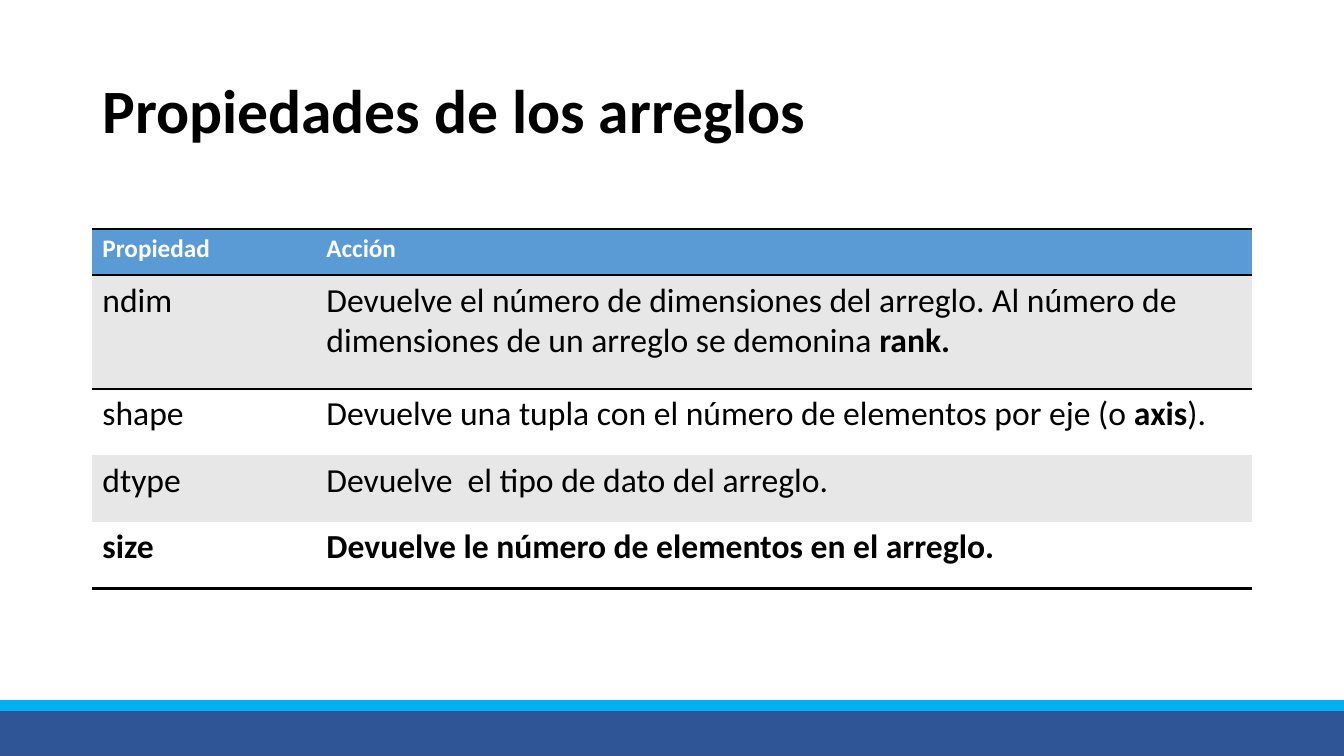
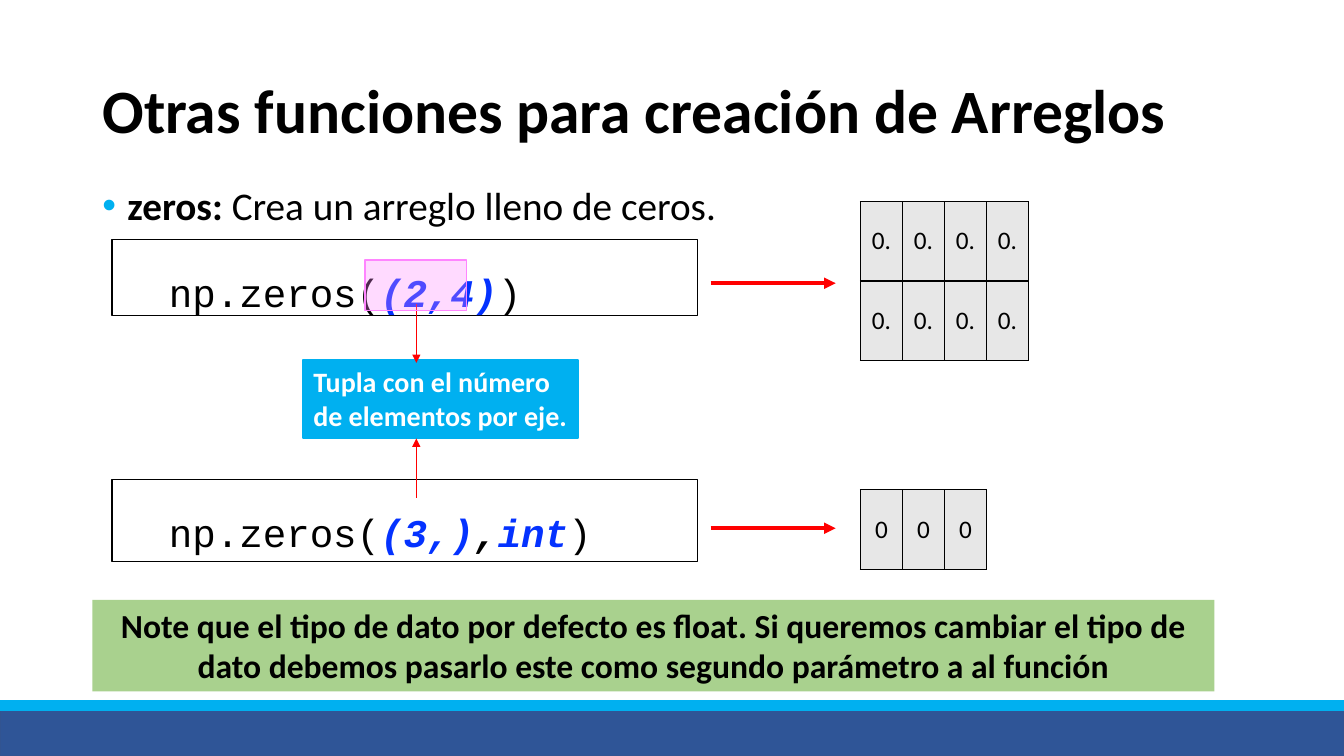
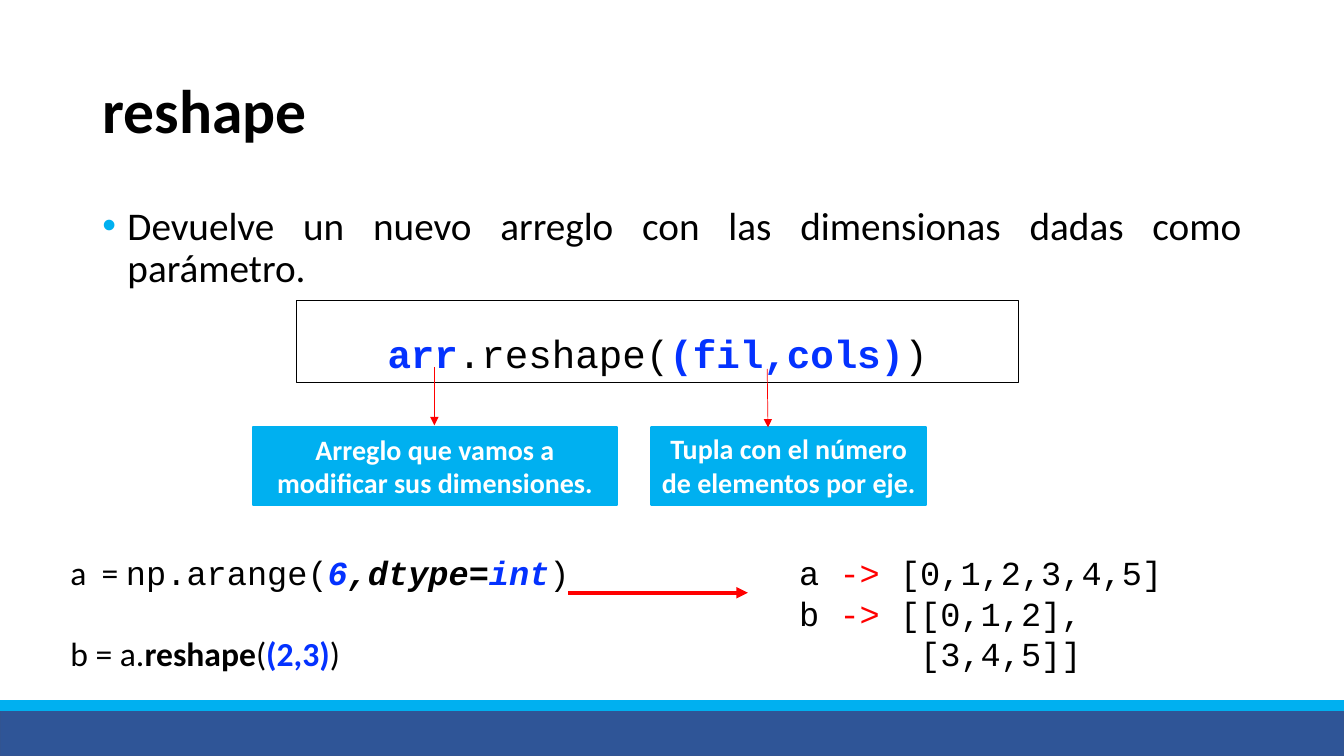
from pptx import Presentation
from pptx.dml.color import RGBColor
from pptx.enum.shapes import MSO_CONNECTOR as Connector, MSO_SHAPE as Preset
from pptx.enum.text import MSO_ANCHOR as Anchor, MSO_AUTO_SIZE as AutoSize, PP_ALIGN as Align
from pptx.oxml.ns import qn
from pptx.oxml.xmlchemy import OxmlElement
from pptx.util import Pt

COLORS = {name: RGBColor.from_string(value) for name, value in {
    "black": "000000", "white": "FFFFFF", "cyan": "00B0F0", "navy": "2F5597",
    "navy edge": "325491", "header": "5B9BD5", "gray": "E7E7E7", "argument": "0432FF",
    "red": "FF0000", "pink": "FF85FF", "green": "A9D18E",
}.items()}

# Run styles, each laid over the base format of its box
STYLES = {
    "plain": {},
    "bold": {"bold": True},
    "argument": {"bold": True, "color": "argument"},
    "italic": {"bold": True, "italic": True},
    "italic argument": {"bold": True, "italic": True, "color": "argument"},
    "red": {"color": "red"},
    "mono": {"name": "Courier New"},
    "mono italic": {"name": "Courier New", "bold": True, "italic": True},
    "mono argument": {"name": "Courier New", "bold": True, "italic": True, "color": "argument"},
}
BASE = {"name": "Calibri", "size": Pt(24), "bold": False, "italic": False, "color": "black"}


def write(frame, paragraphs, align=Align.LEFT, spacing=1.0, **base):
    """Fill a text frame; each paragraph is a list of (text, style) runs."""
    frame.word_wrap = True
    for index, runs in enumerate(paragraphs):
        paragraph = frame.add_paragraph() if index else frame.paragraphs[0]
        paragraph.alignment, paragraph.line_spacing = align, spacing
        for text, style in runs:
            run = paragraph.add_run()
            run.text = text
            for key, value in {**BASE, **base, **STYLES[style]}.items():
                if key == "color":
                    run.font.color.rgb = COLORS[value]
                else:
                    setattr(run.font, key, value)


def draw_borders(cell, sides, width):
    """Draw black borders on the given sides, in the order L, R, T, B."""
    properties = cell._tc.get_or_add_tcPr()
    for index, side in enumerate(sides):
        border = OxmlElement(f"a:ln{side}")
        border.set("w", str(Pt(width)))
        fill = OxmlElement("a:solidFill")
        color = OxmlElement("a:srgbClr")
        color.set("val", str(COLORS["black"]))
        fill.append(color)
        border.append(fill)
        properties.insert(index, border)


prs = Presentation()
prs.slide_width, prs.slide_height = Pt(960), Pt(540)
layout = prs.slide_layouts[5]
for placeholder in list(layout.placeholders)[1:]:
    placeholder.element.getparent().remove(placeholder.element)

# Slides and titles
slides = []
for title in ("Propiedades de los arreglos", "Otras funciones para creación de Arreglos", "reshape"):
    slide = prs.slides.add_slide(layout)
    heading = slide.shapes.title
    heading.left, heading.top, heading.width, heading.height = Pt(66), Pt(29), Pt(828), Pt(104)
    heading.text_frame.auto_size = AutoSize.NONE
    heading.text_frame.vertical_anchor = Anchor.MIDDLE
    write(heading.text_frame, [[(title, "bold")]], spacing=0.9, size=Pt(44))
    slides.append(slide)
properties_slide, zeros_slide, reshape_slide = slides

# Bottom bands, moved to the shared layout
for index, (top, height, fill, edge) in enumerate([
        (506.2, 33.8, "navy", "navy edge"), (500.4, 7.2, "cyan", "cyan")]):
    band = properties_slide.shapes.add_shape(Preset.RECTANGLE, 0, Pt(top), Pt(960), Pt(height))
    band.shadow.inherit = False
    band.fill.solid()
    band.fill.fore_color.rgb = COLORS[fill]
    band.line.color.rgb = COLORS[edge]
    band.line.width = Pt(1)
    layout.shapes.element.insert(2 + index, band.element)

# Tables: property list and the two arrays of zeros
property_rows = [
    [[("Propiedad", "bold")], [("Acción", "bold")]],
    [[("ndim", "plain")],
     [("Devuelve el número de dimensiones del arreglo. Al número de dimensiones de un "
       "arreglo se demonina ", "plain"), ("rank.", "bold")]],
    [[("shape", "plain")],
     [("Devuelve una tupla con el número de elementos por eje (o ", "plain"),
      ("axis", "bold"), (").", "plain")]],
    [[("dtype", "plain")], [("Devuelve  el tipo de dato del arreglo.", "plain")]],
    [[("size", "bold")], [("Devuelve le número de elementos en el arreglo.", "bold")]],
]
float_zeros = [[[("0.", "plain")]] * 4] * 2
int_zeros = [[[("0", "plain")]] * 3]
NO_STYLE = "{2D5ABB26-0587-4C30-8999-92F81FD0307C}"
for slide, left, top, widths, heights, rows in [
        (properties_slide, 66, 163.4, [160, 668], [33.1, 81.4, 47.5, 47.5, 47.5], property_rows),
        (zeros_slide, 614.6, 144, [30] * 4, [56.8] * 2, float_zeros),
        (zeros_slide, 614.6, 349.8, [30] * 3, [56.8], int_zeros)]:
    table = slide.shapes.add_table(len(rows), len(widths), Pt(left), Pt(top),
                                   Pt(sum(widths)), Pt(sum(heights))).table
    table._tbl.tblPr.find(qn("a:tableStyleId")).text = NO_STYLE
    for column, width in zip(table.columns, widths):
        column.width = Pt(width)
    for r, (row, height) in enumerate(zip(rows, heights)):
        table.rows[r].height = Pt(height)
        for c, runs in enumerate(row):
            cell = table.cell(r, c)
            cell.fill.solid()
            if rows is property_rows:
                fill = "header" if r == 0 else "gray" if r % 2 else "white"
                look = {"size": Pt(18), "color": "white"} if r == 0 else {}
                sides = {0: "TB", 1: "T", len(rows) - 1: "B"}.get(r, "")
                draw_borders(cell, sides, 2)
            else:
                fill = "gray"
                look = {"size": Pt(18), "align": Align.CENTER}
                cell.vertical_anchor = Anchor.MIDDLE
                draw_borders(cell, "LRTB", 1)
            cell.fill.fore_color.rgb = COLORS[fill]
            write(cell.text_frame, [runs], **look)

# Bulleted introductions
for slide, top, align, runs in [
        (zeros_slide, 129.6, Align.LEFT,
         [("zeros: ", "bold"), ("Crea un arreglo lleno de ceros.", "plain")]),
        (reshape_slide, 144, Align.JUSTIFY,
         [("Devuelve un nuevo arreglo con las dimensionas dadas como parámetro.", "plain")])]:
    intro = slide.shapes.add_textbox(Pt(66), Pt(top), Pt(828), Pt(342.7)).text_frame
    write(intro, [runs], align, 0.9, size=Pt(28))
    paragraph_format = intro.paragraphs[0]._p.get_or_add_pPr()
    paragraph_format.set("marL", str(Pt(18)))
    paragraph_format.set("indent", str(-Pt(18)))
    bullet_color = OxmlElement("a:buClr")
    bullet_rgb = OxmlElement("a:srgbClr")
    bullet_rgb.set("val", str(COLORS["cyan"]))
    bullet_color.append(bullet_rgb)
    bullet_font = OxmlElement("a:buFont")
    bullet_font.set("typeface", "Arial")
    bullet = OxmlElement("a:buChar")
    bullet.set("char", "•")
    paragraph_format.extend([bullet_color, bullet_font, bullet])

# Code, callout and note boxes: fill, edge, edge width, text format
BOX_KINDS = {
    "code": (None, "black", 0.75, {"name": "Courier New", "size": Pt(28), "spacing": 1.5}),
    "callout": ("cyan", "cyan", 1.5, {"size": Pt(20), "color": "white"}),
    "note": ("green", None, 0, {}),
}
tuple_hint = [("Tupla con el número de elementos por eje.", "bold")]
for slide, kind, left, top, width, height, align, runs in [
        (zeros_slide, "code", 80, 171.4, 418.3, 54, Align.LEFT,
         [("  np.zeros(", "plain"), ("(2,4)", "italic argument"), (")", "plain")]),
        (zeros_slide, "code", 80, 342.7, 418.3, 58.3, Align.LEFT,
         [("  np.zeros(", "plain"), ("(3,)", "italic argument"), (",", "italic"),
          ("int", "italic argument"), (")", "plain")]),
        (zeros_slide, "callout", 216.7, 257, 196, 55.6, Align.LEFT, tuple_hint),
        (zeros_slide, "note", 66, 428.4, 801.4, 65.4, Align.CENTER,
         [("Note que el tipo de dato por defecto es float. Si queremos cambiar el tipo de dato "
           "debemos pasarlo este como segundo parámetro a al función", "bold")]),
        (reshape_slide, "code", 211.7, 214.6, 516.2, 58.3, Align.CENTER,
         [("arr", "argument"), (".reshape(", "plain"), ("(fil,cols)", "argument"),
          (")", "plain")]),
        (reshape_slide, "callout", 465.4, 305, 196, 55.6, Align.CENTER, tuple_hint),
        (reshape_slide, "callout", 180.4, 305.3, 260.6, 55.6, Align.CENTER,
         [("Arreglo que vamos a modificar sus dimensiones.", "bold")])]:
    fill, edge, edge_width, look = BOX_KINDS[kind]
    box = slide.shapes.add_shape(Preset.RECTANGLE, Pt(left), Pt(top), Pt(width), Pt(height))
    box.shadow.inherit = False
    if fill:
        box.fill.solid()
        box.fill.fore_color.rgb = COLORS[fill]
    else:
        box.fill.background()
    if edge:
        box.line.color.rgb = COLORS[edge]
        box.line.width = Pt(edge_width)
    else:
        box.line.fill.background()
    box.text_frame.vertical_anchor = Anchor.TOP
    box.text_frame.auto_size = AutoSize.SHAPE_TO_FIT_TEXT
    write(box.text_frame, [runs], align, **look)

# Example code and its output
for left, width, height, font, gap, lines in [
        (43.2, 397.4, 94.3, "Calibri", 29, [
            [("a  = ", "plain"), ("np.arange(", "mono"), ("6", "mono argument"),
             (",dtype=", "mono italic"), ("int", "mono argument"), (")", "mono")],
            [("b = a.", "plain"), ("reshape", "bold"), ("(", "plain"),
             ("(2,3)", "argument"), (")", "plain")]]),
        (563.8, 372.2, 94.3, "Courier New", 0, [
            [("a ", "plain"), ("->", "red"), (" [0,1,2,3,4,5]", "plain")],
            [("b ", "plain"), ("->", "red"), (" [[0,1,2],", "plain")],
            [("      [3,4,5]]", "plain")]])]:
    example = reshape_slide.shapes.add_textbox(Pt(left), Pt(391), Pt(width), Pt(height)).text_frame
    example.auto_size = AutoSize.SHAPE_TO_FIT_TEXT
    write(example, lines, name=font)
    for paragraph in example.paragraphs[1:]:
        paragraph.space_before = Pt(gap)

# Red arrows
for slide, x1, y1, x2, y2, weight in [
        (zeros_slide, 297.4, 217.4, 297.4, 259.2, 0.5),
        (zeros_slide, 297.4, 355.7, 297.4, 313.2, 0.5),
        (zeros_slide, 507.6, 202.3, 596.9, 202.3, 2.75),
        (zeros_slide, 507.6, 377.3, 596.9, 377.3, 2.75),
        (reshape_slide, 548, 263.5, 548.6, 305.3, 0.5),
        (reshape_slide, 310.3, 262, 310.3, 303.8, 0.5),
        (reshape_slide, 406, 423.4, 534.2, 423.4, 2.75)]:
    arrow = slide.shapes.add_connector(Connector.STRAIGHT, Pt(x1), Pt(y1), Pt(x2), Pt(y2))
    arrow.line.color.rgb = COLORS["red"]
    arrow.line.width = Pt(weight)
    tip = OxmlElement("a:tailEnd")
    tip.set("type", "triangle")
    arrow.line._get_or_add_ln().append(tip)
    arrow.element.spPr.append(OxmlElement("a:effectLst"))

# Translucent highlight over the shape tuple
highlight = zeros_slide.shapes.add_shape(Preset.RECTANGLE, Pt(260.6), Pt(185.8), Pt(72.7), Pt(36))
highlight.shadow.inherit = False
highlight.fill.solid()
highlight.fill.fore_color.rgb = COLORS["pink"]
highlight.line.color.rgb = COLORS["pink"]
highlight.line.width = Pt(1)
alpha = OxmlElement("a:alpha")
alpha.set("val", "30000")
highlight.element.spPr.find(qn("a:solidFill")).find(qn("a:srgbClr")).append(alpha)

prs.save("out.pptx")
